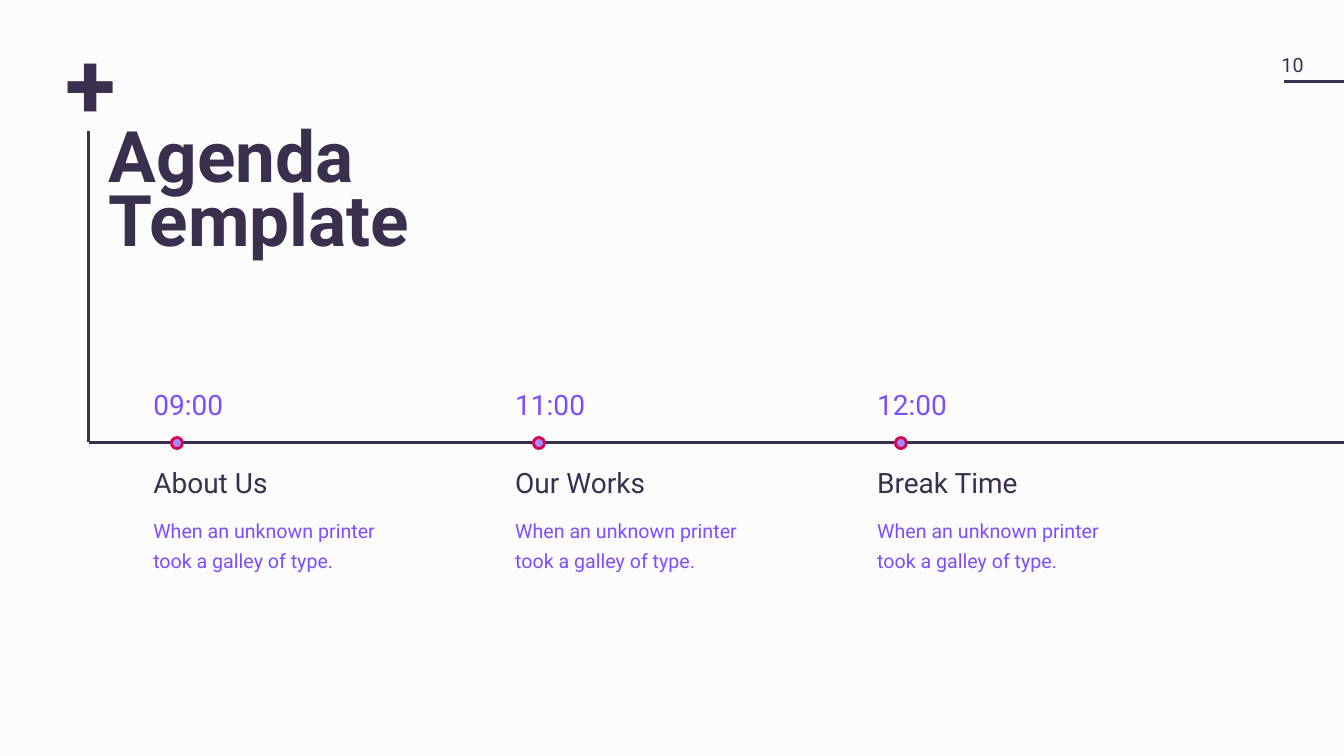
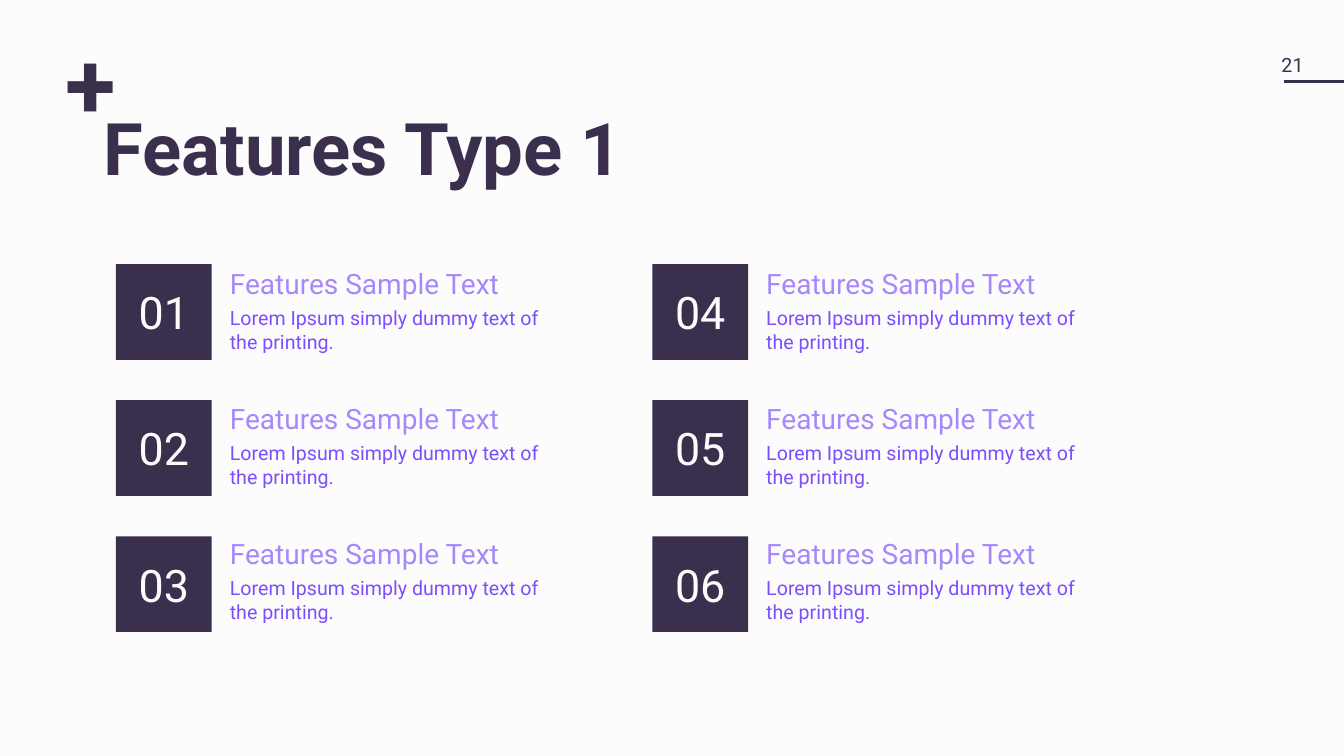
from dataclasses import dataclass

from lxml.etree import SubElement
from pptx import Presentation
from pptx.dml.color import RGBColor
from pptx.enum.shapes import MSO_CONNECTOR as Connector, MSO_SHAPE as Shape
from pptx.enum.text import MSO_ANCHOR as Anchor, MSO_AUTO_SIZE as AutoSize, PP_ALIGN as Align
from pptx.oxml.ns import qn
from pptx.util import Inches, Pt


@dataclass(frozen=True)
class Theme:
    """Colours, type sizes and measures that the slides share."""
    paper: RGBColor = RGBColor.from_string("FCFCFC")
    ink: RGBColor = RGBColor.from_string("3B2F4E")
    violet: RGBColor = RGBColor.from_string("7C4EFD")
    lilac: RGBColor = RGBColor.from_string("A688FC")
    crimson: RGBColor = RGBColor.from_string("D30553")
    font: str = "Roboto"
    plus_size: float = 66
    number_size: float = 32
    heading_size: float = 20
    body_size: float = 14
    tight_line: Pt = Pt(17)
    stroke: float = 2
    width: float = 13.33
    height: float = 7.5


THEME = Theme()


def write_text(frame, text, size, color=THEME.ink, bold=False, align=Align.LEFT, line=None, before=None):
    """Write one paragraph, filling the empty first one before adding more."""
    paragraph = frame.paragraphs[0]
    if paragraph.runs:
        paragraph = frame.add_paragraph()
    paragraph.alignment = align
    paragraph.line_spacing = line
    if before is not None:
        paragraph.space_before = Pt(before)
    run = paragraph.add_run()
    run.text = text
    run.font.name = THEME.font
    run.font.size = Pt(size)
    run.font.bold = bold
    run.font.color.rgb = color


def set_frame(frame, inset=0.05, wrap=True, anchor=Anchor.TOP, grow=True):
    """Set the margins and fitting of a text frame."""
    frame.margin_left = frame.margin_right = Inches(inset)
    frame.margin_top = frame.margin_bottom = Inches(inset)
    frame.word_wrap = wrap
    frame.vertical_anchor = anchor
    frame.auto_size = AutoSize.SHAPE_TO_FIT_TEXT if grow else AutoSize.NONE


def add_text_frame(shapes, left, top, width, height, **layout):
    """Add a text box and return its frame."""
    frame = shapes.add_textbox(Inches(left), Inches(top), Inches(width), Inches(height)).text_frame
    set_frame(frame, **layout)
    return frame


def add_block(shapes, kind, left, top, size, fill, border=None):
    """Add a filled shape of equal width and height."""
    block = shapes.add_shape(kind, Inches(left), Inches(top), Inches(size), Inches(size))
    block.shadow.inherit = False
    block.fill.solid()
    block.fill.fore_color.rgb = fill
    if border is None:
        block.line.fill.background()
    else:
        block.line.color.rgb = border
        block.line.width = Pt(THEME.stroke)
    return block


def add_rule(shapes, left, top, right, bottom):
    """Add a straight ink line."""
    rule = shapes.add_connector(Connector.STRAIGHT, Inches(left), Inches(top), Inches(right), Inches(bottom))
    rule.line.color.rgb = THEME.ink
    rule.line.width = Pt(THEME.stroke)
    SubElement(rule.element.spPr, qn("a:effectLst"))


def add_slide(deck, page, title_lines, title_box, title_size):
    """Add a slide with the plus sign, page number and title."""
    slide = deck.slides.add_slide(deck.slide_layouts[6])
    slide.background.fill.solid()
    slide.background.fill.fore_color.rgb = THEME.paper
    shapes = slide.shapes
    plus = add_text_frame(shapes, 0.6, 0.42, 0.61, 1.17, wrap=False)
    write_text(plus, "+", THEME.plus_size, bold=True, line=0.8)
    add_rule(shapes, 12.73, 0.81, THEME.width, 0.81)
    number = add_text_frame(shapes, 12.64, 0.46, 0.37, 0.36, inset=0.07, wrap=False, anchor=Anchor.MIDDLE)
    write_text(number, page, THEME.body_size)
    title = add_text_frame(shapes, *title_box, grow=False)
    for title_line in title_lines:
        write_text(title, title_line, title_size, bold=True, line=0.75)
    return shapes


def add_agenda_stop(shapes, left, time, topic, detail):
    """Add a time, its dot on the timeline and its description."""
    stop = shapes.add_group_shape().shapes
    description = add_text_frame(stop, left, 4.67, 2.58, 1.04)
    write_text(description, topic, THEME.heading_size, line=THEME.tight_line)
    write_text(description, detail, THEME.body_size, THEME.violet, line=1.25, before=10)
    clock = add_text_frame(stop, left, 3.89, 2.02, 0.36)
    write_text(clock, time, THEME.heading_size, THEME.violet, line=THEME.tight_line)
    add_block(stop, Shape.OVAL, left + 0.23, 4.34, 0.11, THEME.lilac, THEME.crimson)


def add_feature(shapes, column, row, number, heading, detail):
    """Add a numbered square with its heading and detail."""
    feature = shapes.add_group_shape().shapes
    left = 1.15 + 5.32 * column
    caption = add_text_frame(feature, left + 1.08, 2.69 + 1.34 * row, 3.23, 0.86)
    write_text(caption, heading, THEME.heading_size, THEME.lilac, line=THEME.tight_line)
    write_text(caption, detail, THEME.body_size, THEME.violet, line=THEME.tight_line, before=4)
    badge = add_block(feature, Shape.RECTANGLE, left, 2.62 + 1.35 * row, 0.95, THEME.ink).text_frame
    set_frame(badge, anchor=Anchor.MIDDLE, grow=False)
    write_text(badge, f"{number:02}", THEME.number_size, THEME.paper, align=Align.CENTER)


def build_agenda(deck):
    """Build the agenda timeline slide."""
    shapes = add_slide(deck, "10", ["Agenda", "Template"], (1.03, 1.25, 5.04, 1.55), 50.8)
    axis_left, axis_top = 0.88, 4.39
    add_rule(shapes, axis_left, 1.3, axis_left, axis_top)
    add_rule(shapes, axis_left, axis_top, THEME.width, axis_top)
    stops = [("09:00", "About Us"), ("11:00", "Our Works"), ("12:00", "Break Time")]
    for index, (time, topic) in enumerate(stops):
        add_agenda_stop(shapes, 1.47 + 3.59 * index, time, topic,
                        "When an unknown printer took a galley of type.")


def build_features(deck):
    """Build the slide of six numbered features."""
    shapes = add_slide(deck, "21", ["Features Type 1"], (0.98, 1.17, 11.43, 0.95), 51.8)
    rows = 3
    for index in range(6):
        column, row = divmod(index, rows)
        add_feature(shapes, column, row, index + 1, "Features Sample Text",
                    "Lorem Ipsum simply dummy text of the printing.")


def main():
    """Build and save the deck."""
    deck = Presentation()
    deck.slide_width = Inches(THEME.width)
    deck.slide_height = Inches(THEME.height)
    build_agenda(deck)
    build_features(deck)
    deck.save("out.pptx")


if __name__ == "__main__":
    main()
